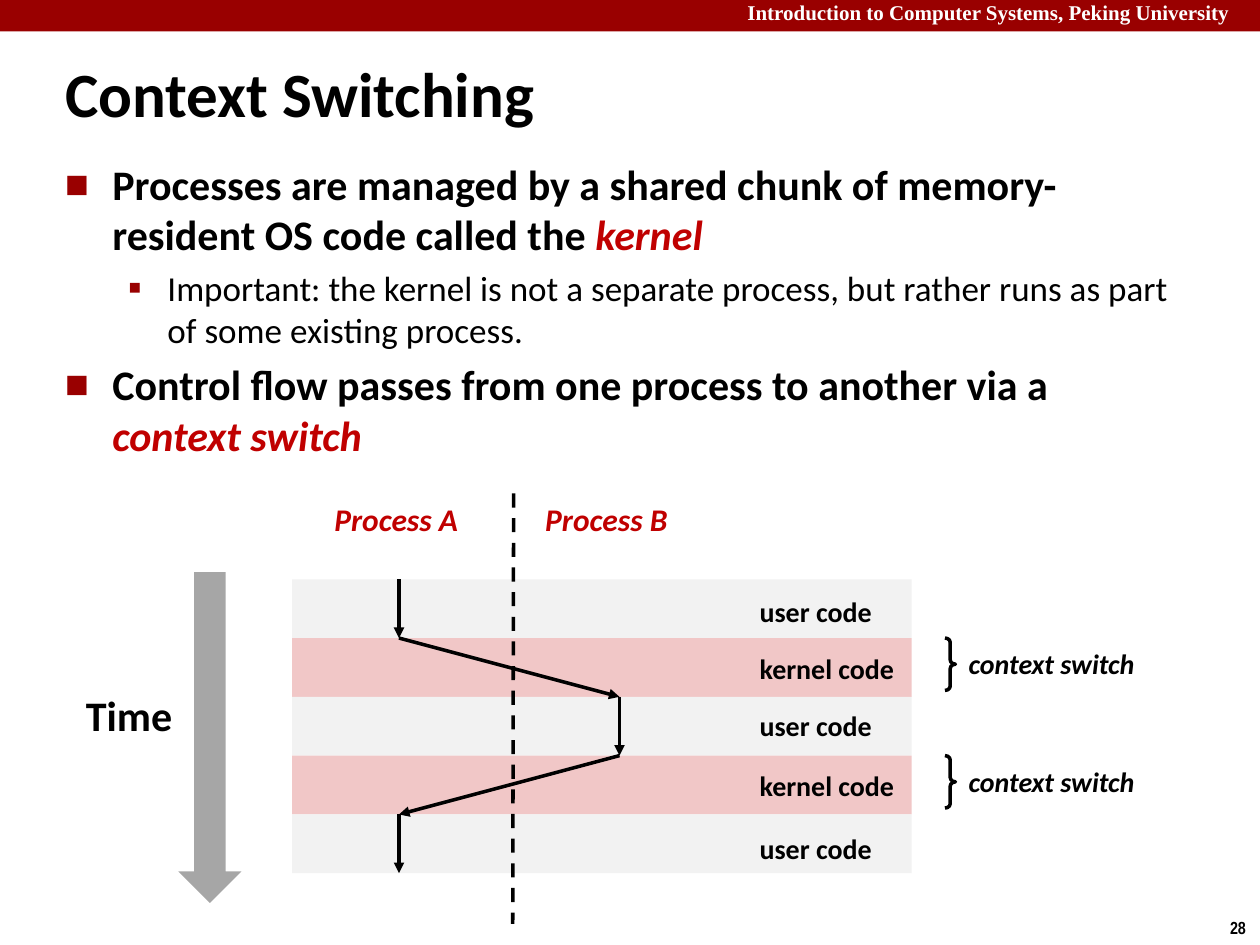
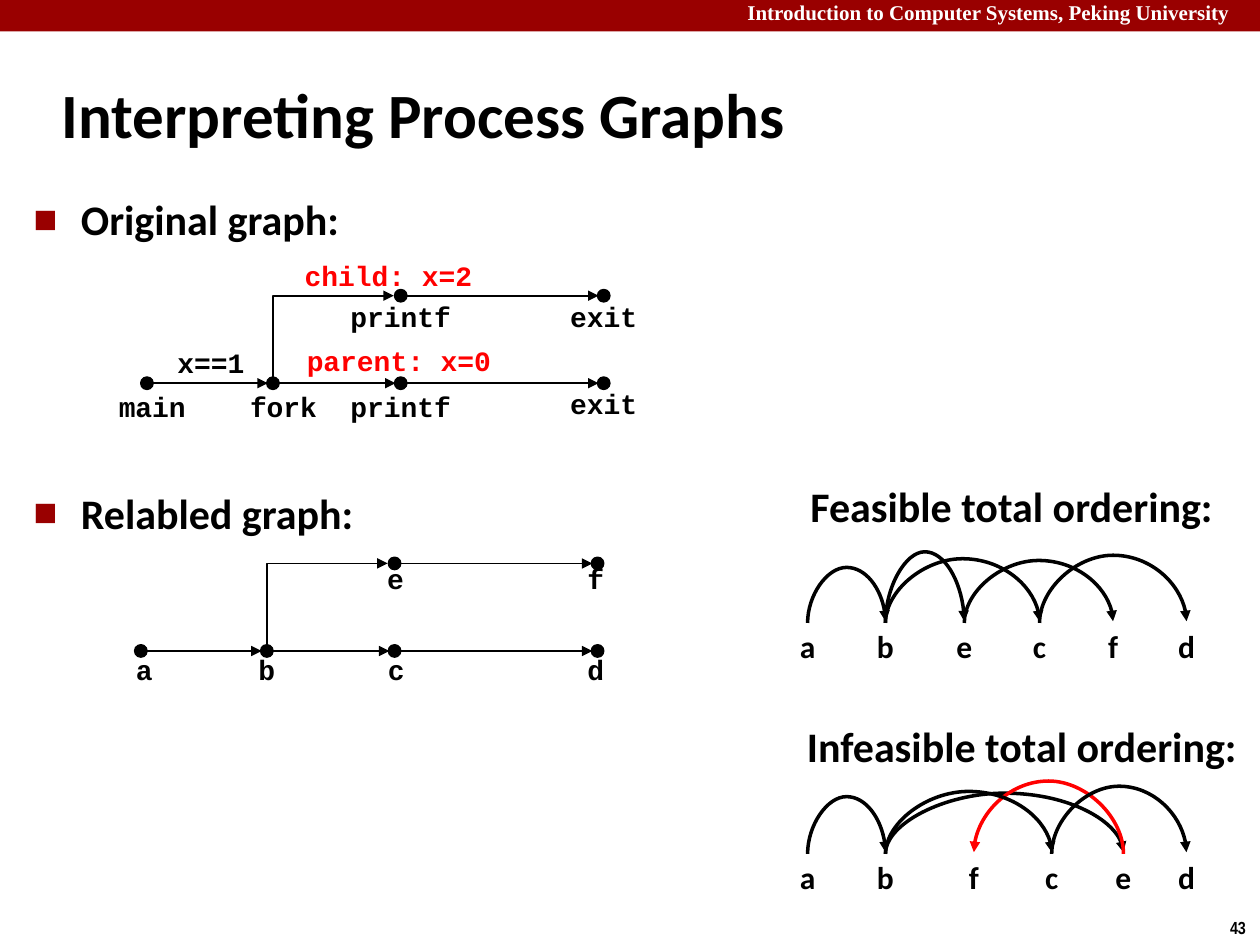
from itertools import pairwise

from lxml.etree import SubElement
from pptx import Presentation
from pptx.dml.color import RGBColor
from pptx.enum.dml import MSO_LINE
from pptx.enum.shapes import MSO_CONNECTOR, MSO_SHAPE
from pptx.enum.text import MSO_ANCHOR, MSO_AUTO_SIZE, PP_ALIGN
from pptx.oxml.ns import qn
from pptx.util import Pt

BLACK, WHITE, RED = "000000", "FFFFFF", "FF0000"
CRIMSON, EMPHASIS = "990000", "C00000"
USER_GRAY, KERNEL_PINK, TIME_GRAY = "F2F2F2", "F1C7C7", "A6A6A6"
BODY_FONT, CODE_FONT = "Calibri", "Courier New"
COURSE = "Introduction to Computer Systems, Peking University"
# Per list level: character, size in percent, left margin, hanging indent, font size
BULLETS = [("■", 60, 27, 27, 24), ("▪", 110, 58.5, 22.5, 20)]


def color(hex_string):
    return RGBColor.from_string(hex_string)


def place(shape, left, top, width, height):
    shape.left, shape.top = Pt(left), Pt(top)
    shape.width, shape.height = Pt(width), Pt(height)


def style(font, size, name=BODY_FONT, ink=BLACK, bold=True, italic=False):
    font.size, font.name = Pt(size), name
    font.bold, font.italic = bold, italic
    font.color.rgb = color(ink)


def add_label(slide, text, left, top, width, size, align=PP_ALIGN.LEFT, **font):
    box = slide.shapes.add_textbox(Pt(left), Pt(top), Pt(width), Pt(size * 1.2 + 7))
    box.text_frame.word_wrap = True
    paragraph = box.text_frame.paragraphs[0]
    paragraph.text = text
    paragraph.alignment = align
    style(paragraph.font, size, **font)


def add_centered(slide, text, center, top, size, **font):
    width = size * len(text) + 15
    add_label(slide, text, center - width / 2, top, width, size, PP_ALIGN.CENTER, **font)


def add_filled(slide, kind, left, top, width, height, fill):
    shape = slide.shapes.add_shape(kind, Pt(left), Pt(top), Pt(width), Pt(height))
    shape.shadow.inherit = False
    shape.fill.solid()
    shape.fill.fore_color.rgb = color(fill)
    shape.line.fill.background()
    return shape


def add_line(slide, begin, end, width, ink=BLACK, arrow=True, kind=MSO_CONNECTOR.STRAIGHT):
    connector = slide.shapes.add_connector(kind, *map(Pt, begin), *map(Pt, end))
    connector.line.color.rgb = color(ink)
    connector.line.width = Pt(width)
    properties = connector.element.spPr
    if arrow:
        SubElement(properties.find(qn("a:ln")), qn("a:tailEnd"), type="triangle")
    SubElement(properties, qn("a:effectLst"))
    return connector


def add_rising_line(slide, begin, end, width, kind, ink=BLACK):
    """Add a connector that leaves its start upwards, by turning a sideways one."""
    (x1, y1), (x2, y2) = begin, end
    half_rise, half_run = abs(y2 - y1) / 2, abs(x2 - x1) / 2
    x, y = (x1 + x2) / 2, (y1 + y2) / 2
    connector = add_line(slide, (x - half_rise, y - half_run),
                         (x + half_rise, y + half_run), width, ink, kind=kind)
    transform = connector.element.spPr.find(qn("a:xfrm"))
    transform.set("flipV", "1")
    if x2 > x1:
        transform.set("flipH", "1")
    transform.set("rot", str((90 if x2 > x1 else 270) * 60000))
    return connector.element.spPr.find(qn("a:prstGeom"))


def add_arc(slide, start, end, baseline, rise, ink=BLACK):
    # The ends differ by one point, so the adjustment equals the rise in points.
    geometry = add_rising_line(slide, (start, baseline + 1), (end, baseline), 2,
                               MSO_CONNECTOR.CURVE, ink)
    adjustments = geometry.find(qn("a:avLst"))
    SubElement(adjustments, qn("a:gd"), name="adj1", fmla=f"val {rise * 100000}")


def add_base(presentation, title, title_box, number):
    """Add a slide with its band, course name, title and page number."""
    slide = presentation.slides.add_slide(presentation.slide_layouts[1])
    add_filled(slide, MSO_SHAPE.RECTANGLE, 0, 0, 720, 18, CRIMSON)
    add_label(slide, COURSE, 420, -3.6, 300, 12, name="Times New Roman", ink=WHITE)
    add_label(slide, str(number), 690, 520.5, 29, 10, PP_ALIGN.RIGHT, name="Arial Narrow")
    heading = slide.shapes.title
    place(heading, *title_box)
    frame = heading.text_frame
    frame.auto_size = MSO_AUTO_SIZE.NONE
    frame.vertical_anchor = MSO_ANCHOR.MIDDLE
    paragraph = frame.paragraphs[0]
    paragraph.text = title
    paragraph.alignment = PP_ALIGN.LEFT
    style(paragraph.font, 36)
    return slide


def fill_list(slide, box, items):
    """Fill the body with items of level, space before, text and emphasised ending."""
    body = slide.placeholders[1]
    place(body, *box)
    frame = body.text_frame
    frame.auto_size = MSO_AUTO_SIZE.NONE
    for index, (level, space, text, emphasis) in enumerate(items):
        paragraph = frame.add_paragraph() if index else frame.paragraphs[0]
        paragraph.level = level
        character, percent, margin, hanging, size = BULLETS[level]
        properties = paragraph._p.get_or_add_pPr()
        properties.set("marL", str(Pt(margin)))
        properties.set("indent", str(-Pt(hanging)))
        bullet_color = SubElement(properties, qn("a:buClr"))
        SubElement(bullet_color, qn("a:srgbClr"), val=CRIMSON)
        SubElement(properties, qn("a:buSzPct"), val=str(percent * 1000))
        SubElement(properties, qn("a:buFont"), typeface=BODY_FONT)
        SubElement(properties, qn("a:buChar"), char=character)
        paragraph.space_before = Pt(space)
        style(paragraph.font, size, bold=level == 0)
        paragraph.add_run().text = text
        if emphasis:
            run = paragraph.add_run()
            run.text = emphasis
            run.font.italic = True
            run.font.color.rgb = color(EMPHASIS)


def add_switch_diagram(slide, left, top, width, height):
    """Draw two processes alternating over stacked user and kernel bands."""
    label_drops = [5, 4, 3, 4, 6]
    row = height / len(label_drops)
    for index in range(len(label_drops)):
        fill = KERNEL_PINK if index % 2 else USER_GRAY
        add_filled(slide, MSO_SHAPE.RECTANGLE, left, top + index * row, width, row, fill)
    for index, drop in enumerate(label_drops):
        y = top + index * row
        in_kernel = index % 2 == 1
        add_label(slide, "kernel code" if in_kernel else "user code",
                  left + 260, y + drop, 110, 16)
        if in_kernel:
            brace = add_filled(slide, MSO_SHAPE.RIGHT_BRACE, left + 373, y, 6, 30, WHITE)
            brace.fill.background()
            brace.line.color.rgb = color(BLACK)
            brace.line.width = Pt(2)
            brace.adjustments[0] = 0.417
            add_label(slide, "context switch", left + 379.5, y + 1.5, 125, 16, italic=True)

    for name, x in (("Process A", 17), ("Process B", 137.5)):
        add_label(slide, name, left + x, top - 49, 100, 18, ink=EMPHASIS, italic=True)
    divider = add_line(slide, (left + 126.5, top - 49), (left + 126, top + 197), 2, arrow=False)
    divider.line.dash_style = MSO_LINE.DASH

    lane_a, lane_b = left + 61, left + 187
    lanes = [lane_a, lane_a, lane_b, lane_b, lane_a, lane_a]
    stops = [(x, top + index * row) for index, x in enumerate(lanes)]
    for begin, end in pairwise(stops):
        add_line(slide, begin, end, 2)


def add_time_axis(slide, left, top, width, height):
    add_label(slide, "Time", left, top + 63.5, 75, 24)
    add_filled(slide, MSO_SHAPE.DOWN_ARROW, left + width - 36, top, 36, height, TIME_GRAY)


def add_process_graph(slide, left, top, labels, notes=()):
    """Draw a fork graph; left and top are the first column and the child row."""
    main, fork, output, leave = (left + x for x in (0, 72, 145, 261))
    child, parent = top, top + 50
    nodes = {child: [output, leave], parent: [main, fork, output, leave]}
    for y, columns in nodes.items():
        for x in columns:
            dot = add_filled(slide, MSO_SHAPE.OVAL, x - 3.6, y - 3.6, 7.2, 7.2, BLACK)
            dot.line.color.rgb = color(BLACK)
            dot.line.width = Pt(0.75)
        for start, end in pairwise(columns):
            add_line(slide, (start + 3, y), (end - 3, y), 1)
    elbow = add_rising_line(slide, (fork, parent), (output - 4, child), 1, MSO_CONNECTOR.ELBOW)
    elbow.set("prst", "bentConnector2")
    for text, x, y in labels:
        add_centered(slide, text, left + x, top + y, 16, name=CODE_FONT)
    for text, x, y, ink in notes:
        add_centered(slide, text, left + x, top + y, 16, name=CODE_FONT, ink=ink)


def add_ordering(slide, left, top, height, heading, heading_shift, letters, arcs):
    """Draw a heading over lettered events joined by arcs of start, end, rise, colour."""
    add_label(slide, heading, left + heading_shift, top, 266, 24)
    baseline = top + height - 29
    for letter, x in letters.items():
        add_centered(slide, letter, left + x, baseline, 18)
    for start, end, rise, ink in arcs:
        add_arc(slide, left + letters[start], left + letters[end], baseline, rise, ink)


def build_context_switching(presentation):
    slide = add_base(presentation, "Context Switching", (30, 30, 460, 45.5), 28)
    fill_list(slide, (30, 87, 653, 201), [
        (0, 0, "Processes are managed by a shared chunk of memory-resident OS code called the ",
         "kernel"),
        (1, 4, "Important: the kernel is not a separate process, but rather runs as part "
               "of some existing process.", ""),
        (0, 4.8, "Control flow passes from one process to another via a ", "context switch"),
    ])
    add_switch_diagram(slide, 167, 331, 354, 168)
    add_time_axis(slide, 42, 327, 96, 189)


def build_process_graphs(presentation):
    slide = add_base(presentation, "Interpreting Process Graphs", (28, 34.5, 598, 60), 43)
    fill_list(slide, (12, 107, 370, 307), [
        (0, 0, "Original graph:", ""),
        (0, 139, "Relabled graph:", ""),
    ])
    add_process_graph(
        slide, 84, 169,
        [("main", 3, 50), ("fork", 78, 50), ("printf", 145, 50), ("exit", 261, 48.5),
         ("printf", 145, -1.5), ("exit", 261, -1.5)],
        [("child: x=2", 138, -25, RED), ("parent: x=0", 144, 24, RED),
         ("x==1", 36.5, 25, BLACK)])
    add_process_graph(
        slide, 80.5, 322,
        [("a", 2, 47.5), ("b", 72, 47.5), ("c", 146, 47.5), ("d", 260, 47.5),
         ("e", 145.5, -4.5), ("f", 260, -4.5)])
    add_ordering(
        slide, 449, 271, 113, "Feasible total ordering:", 7,
        {"a": 12.5, "b": 57, "e": 102, "c": 145, "f": 187, "d": 229},
        [("a", "b", 32, BLACK), ("b", "e", 41, BLACK), ("e", "f", 36, BLACK),
         ("b", "c", 37, BLACK), ("c", "d", 39, BLACK)])
    add_ordering(
        slide, 449, 408, 108, "Infeasible total ordering:", 5,
        {"a": 12.5, "b": 57, "f": 107.5, "c": 152, "e": 193, "d": 229},
        [("a", "b", 33, BLACK), ("b", "e", 35, BLACK), ("e", "f", 42, RED),
         ("b", "c", 36, BLACK), ("c", "d", 39, BLACK)])


def main():
    presentation = Presentation()
    presentation.slide_width, presentation.slide_height = Pt(720), Pt(540)
    build_context_switching(presentation)
    build_process_graphs(presentation)
    presentation.save("out.pptx")


if __name__ == "__main__":
    main()
